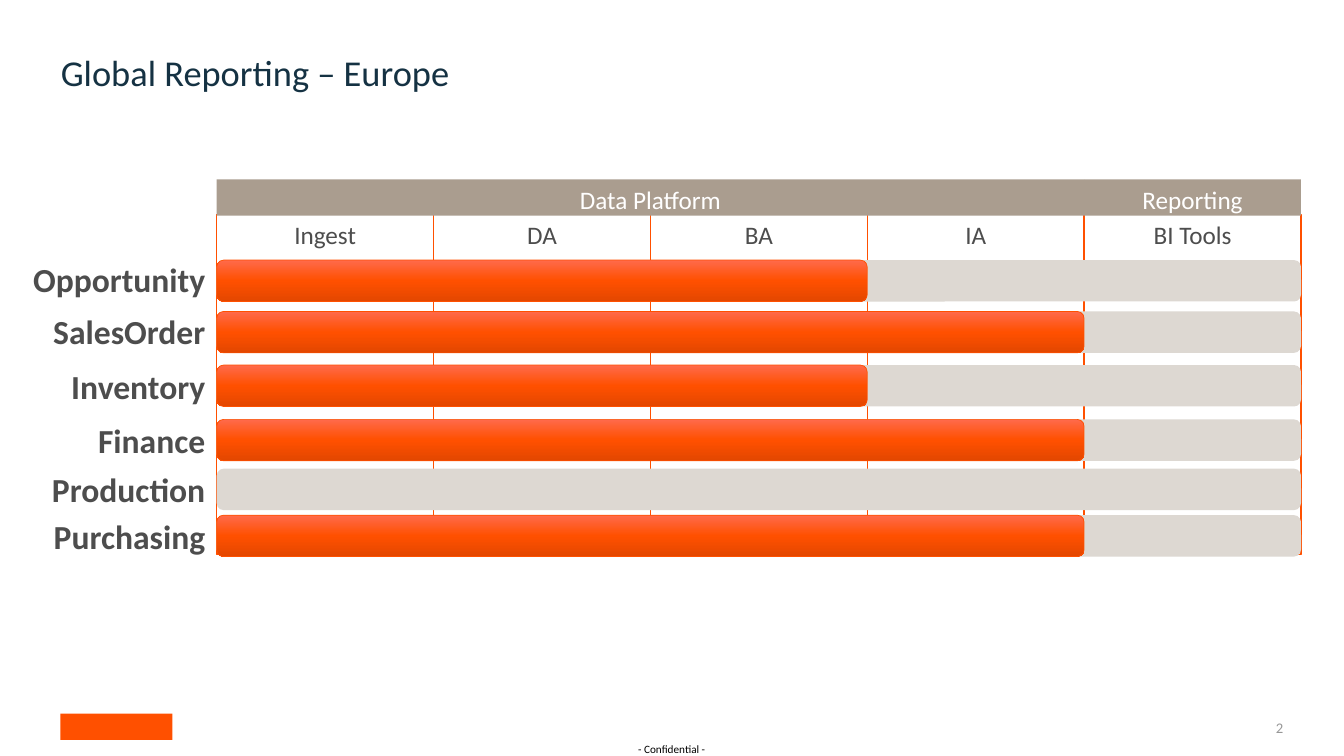
"""Build the Europe reporting progress slide."""
from copy import deepcopy

from pptx import Presentation
from pptx.dml.color import RGBColor
from pptx.enum.shapes import MSO_SHAPE
from pptx.enum.text import MSO_ANCHOR, MSO_AUTO_SIZE, PP_ALIGN
from pptx.oxml.ns import qn
from pptx.util import Pt

FONT = "Calibri"
ORANGE = "FF5000"
GREY = "4D4D4D"
WHITE = "FFFFFF"
TAUPE = "AA9D8F"
TRACK = "DDD8D2"
GRADIENT = [(0, "FF6A4B"), (0.5, ORANGE), (1, "E34700")]

LEFT = 154.8
COL_W = 154.9
STAGES = ["Ingest", "DA", "BA", "IA", "BI Tools"]
BAR_H = 29.6
ROWS = [
    ("Opportunity", 185.8, 181.5, 3),
    ("SalesOrder", 222.5, 218.8, 4),
    ("Inventory", 260.8, 257.8, 3),
    ("Finance", 299.6, 296.6, 4),
    ("Production", 334.8, 331.6, 0),
    ("Purchasing", 368, 365, 4),
]


def rgb(value):
    """Turn a hex string into a colour."""
    return RGBColor.from_string(value)


def write(tf, text, size, color, align=PP_ALIGN.LEFT, bold=False):
    """Write one formatted run into a text frame."""
    tf.word_wrap = True
    tf.vertical_anchor = MSO_ANCHOR.TOP
    p = tf.paragraphs[0]
    p.alignment = align
    r = p.add_run()
    r.text = text
    r.font.name = FONT
    r.font.size = Pt(size)
    r.font.bold = bold
    r.font.color.rgb = rgb(color)
    return p


def clear_insets(tf):
    """Remove the inner margins of a text frame."""
    tf.margin_left = tf.margin_right = tf.margin_top = tf.margin_bottom = 0


def add_title(s, text):
    """Place and format the title placeholder."""
    title = s.shapes.title
    title.left, title.top = Pt(43.4), Pt(41.8)
    title.width, title.height = Pt(873.4), Pt(26)
    tf = title.text_frame
    clear_insets(tf)
    tf.auto_size = MSO_AUTO_SIZE.NONE
    write(tf, text, 26, "153243").line_spacing = 0.8


def add_label(s, x, y, w, h, text, size, color, align, bold=False):
    """Add a text box and return its text frame."""
    tf = s.shapes.add_textbox(Pt(x), Pt(y), Pt(w), Pt(h)).text_frame
    write(tf, text, size, color, align, bold)
    return tf


def add_block(s, x, y, w, h, fill, kind=MSO_SHAPE.RECTANGLE, line=None, line_w=1):
    """Add a flat preset shape, outlined if a line colour is given."""
    sp = s.shapes.add_shape(kind, Pt(x), Pt(y), Pt(w), Pt(h))
    sp.shadow.inherit = False
    sp.fill.solid()
    sp.fill.fore_color.rgb = rgb(fill)
    if line:
        sp.line.color.rgb = rgb(line)
        sp.line.width = Pt(line_w)
    else:
        sp.line.fill.background()
    return sp


def shade(sp):
    """Give a shape the vertical three-stop gradient."""
    sp.fill.gradient()
    sp.fill.gradient_angle = 270
    stops = sp._element.spPr.find(qn("a:gradFill")).find(qn("a:gsLst"))
    stops.insert(1, deepcopy(stops[0]))
    for stop, (position, color) in zip(sp.fill.gradient_stops, GRADIENT):
        stop.position = position
        stop.color.rgb = rgb(color)


def add_row(s, name, bar_top, label_top, done):
    """Add a row label, its track and the bar over the finished stages."""
    add_label(s, 12, label_top, 141.8, 36, name, 24, GREY, PP_ALIGN.RIGHT, True)
    rounded = MSO_SHAPE.ROUNDED_RECTANGLE
    add_block(s, LEFT, bar_top, len(STAGES) * COL_W, BAR_H, TRACK, rounded)
    if done:
        shade(add_block(s, LEFT, bar_top, done * COL_W, BAR_H, ORANGE,
                        rounded, ORANGE, 0.5))


def add_header(s, first, span, text):
    """Add a heading band over a span of stages."""
    sp = add_block(s, LEFT + first * COL_W, 128.2, span * COL_W, 25.8, TAUPE)
    write(sp.text_frame, text, 18, WHITE, PP_ALIGN.CENTER)


def main():
    """Build and save the slide."""
    prs = Presentation()
    prs.slide_width, prs.slide_height = Pt(960), Pt(540)
    s = prs.slides.add_slide(prs.slide_layouts[5])

    add_block(s, 43.2, 509.8, 80, 18.7, ORANGE)
    clear_insets(add_label(s, 455.8, 530.6, 50.4, 9.4, "- Confidential -", 8,
                           "000000", PP_ALIGN.LEFT))
    for i, stage in enumerate(STAGES):
        sp = add_block(s, LEFT + i * COL_W, 153.4, COL_W, 242.6, WHITE, line=ORANGE)
        write(sp.text_frame, stage, 18, GREY, PP_ALIGN.CENTER)

    number = add_label(s, 883.4, 510.5, 33.2, 18, "2", 10.5, "979797", PP_ALIGN.RIGHT)
    clear_insets(number)
    number.vertical_anchor = MSO_ANCHOR.MIDDLE
    add_title(s, "Global Reporting – Europe")

    for row in ROWS:
        add_row(s, *row)
    add_header(s, 0, 4, "Data Platform")
    add_header(s, 4, 1, "Reporting")

    prs.save("out.pptx")


if __name__ == "__main__":
    main()
